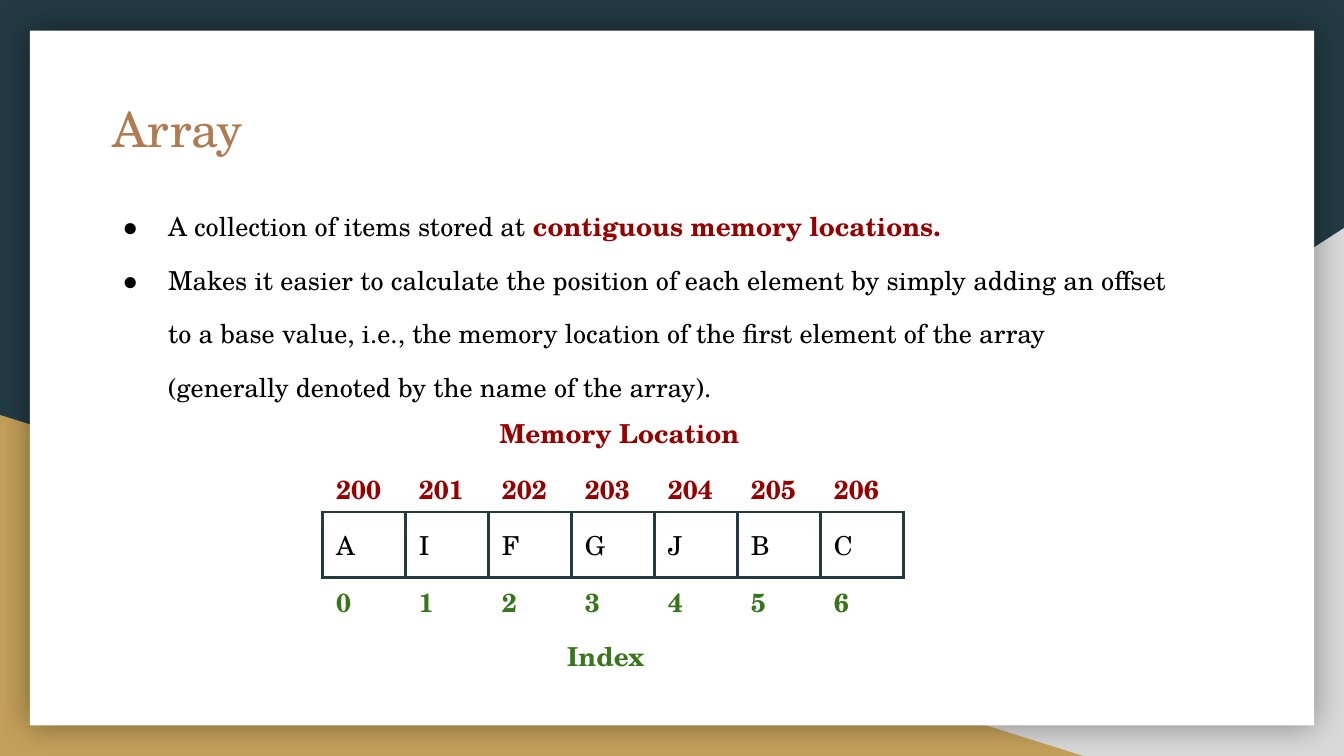
from pptx import Presentation, oxml, util as u
from pptx.dml.color import RGBColor
from pptx.enum import shapes, text
from pptx.oxml import ns

Pt = u.Pt
HUES = {"navy": "233A44", "gray": "D9D9D9", "gold": "C4A15A", "white": "FFFFFF",
        "brown": "AF7B51", "black": "000000", "red": "980000", "green": "38761D"}
FONT = "TeX Gyre Schola"


def hue(name):
    return RGBColor.from_string(HUES[name])


def node(xml):
    head, tail = xml.split(" ", 1) if " " in xml.split(">")[0] else xml.split(">", 1)
    gap = " " if " " in xml.split(">")[0] else ">"
    return oxml.parse_xml(f"{head} {ns.nsdecls('a')}{gap}{tail}")


def put(par, words, size=14, color="black", bold=False):
    run = par.add_run()
    run.text = words
    font = run.font
    font.name, font.size, font.bold = FONT, Pt(size), bold
    font.color.rgb = hue(color)


class Deck:
    inset = 7.2
    left, cell, row = 172.8, 44.46, 22.32

    def __init__(self):
        self.prs = Presentation()
        self.prs.slide_width, self.prs.slide_height = Pt(720), Pt(405)
        self.slide = self.prs.slides.add_slide(self.prs.slide_layouts[1])
        fill = self.slide.background.fill
        fill.solid()
        fill.fore_color.rgb = hue("navy")

    def block(self, kind, box, color, flip=False, shade=False):
        item = self.slide.shapes.add_shape(kind, *map(Pt, box))
        item.fill.solid()
        item.fill.fore_color.rgb = hue(color)
        item.line.fill.background()
        item.shadow.inherit = False
        props = item._element.spPr
        if flip:
            props.xfrm.set("flipH", "1")
        if shade:
            props.find(ns.qn("a:effectLst")).append(node(
                f'<a:outerShdw blurRad="{Pt(18)}" dist="0" dir="0" algn="bl" rotWithShape="0">'
                f'<a:srgbClr val="{HUES["black"]}"><a:alpha val="40000"/></a:srgbClr>'
                '</a:outerShdw>'))

    def frame(self, item):
        area = item.text_frame
        area.word_wrap = True
        area.auto_size = text.MSO_AUTO_SIZE.NONE
        area.vertical_anchor = text.MSO_ANCHOR.TOP
        area.margin_left = area.margin_right = Pt(self.inset)
        area.margin_top = area.margin_bottom = Pt(self.inset)
        return area

    def holder(self, item, box):
        item.left, item.top, item.width, item.height = map(Pt, box)
        self.slide.shapes._spTree.append(item._element)
        return self.frame(item)

    def title(self, words, box):
        par = self.holder(self.slide.shapes.title, box).paragraphs[0]
        par.alignment = text.PP_ALIGN.LEFT
        put(par, words, size=26, color="brown")

    def bullets(self, items, box):
        area = self.holder(self.slide.placeholders[1], box)
        for spot, runs in enumerate(items):
            par = area.add_paragraph() if spot else area.paragraphs[0]
            props = par._p.get_or_add_pPr()
            props.set("marL", str(Pt(36)))
            props.set("indent", str(Pt(-25.2)))
            props.append(node(f'<a:buClr><a:srgbClr val="{HUES["black"]}"/></a:buClr>'))
            props.append(node(f'<a:buFont typeface="{FONT}"/>'))
            props.append(node('<a:buChar char="●"/>'))
            par.line_spacing = 1.71
            par.space_before = Pt(0)
            for words, style in runs:
                put(par, words, **style)

    def label(self, words, left, top, color):
        item = self.slide.shapes.add_textbox(Pt(left), Pt(top), Pt(231), Pt(11))
        put(self.frame(item).paragraphs[0], words, color=color, bold=True)

    def strip(self, words, top, edge=False, **style):
        count = len(words)
        grid = self.slide.shapes.add_table(
            1, count, Pt(self.left), Pt(top), Pt(self.cell * count), Pt(self.row)).table
        grid.first_row = grid.horz_banding = False
        paint = (f'<a:solidFill><a:srgbClr val="{HUES["navy"]}"/></a:solidFill>'
                 if edge else '<a:noFill/>')
        for cell, word in zip(grid.iter_cells(), words):
            cell.margin_left = cell.margin_right = Pt(self.inset)
            cell.margin_top = cell.margin_bottom = Pt(self.inset)
            props = cell._tc.get_or_add_tcPr()
            for side in "LRTB":
                props.append(node(f'<a:ln{side} w="{Pt(1.5)}">{paint}</a:ln{side}>'))
            cell.fill.background()
            put(cell.text_frame.paragraphs[0], word, **style)


def main():
    deck = Deck()
    kind = shapes.MSO_SHAPE
    deck.block(kind.RIGHT_TRIANGLE, (282, 122.2, 438, 282.8), "gray", flip=True)
    deck.block(kind.RIGHT_TRIANGLE, (0, 222.3, 580.3, 182.7), "gold")
    deck.block(kind.RECTANGLE, (16, 16.4, 688, 372.2), "white", shade=True)

    deck.bullets([
        [("A collection of items stored at ", {}),
         ("contiguous memory locations.", {"color": "red", "bold": True})],
        [("Makes it easier to calculate the position of each element by simply adding "
          "an offset to a base value, i.e., the memory location of the first element of "
          "the array (generally denoted by the name of the array).", {})],
    ], (46.8, 93.6, 589, 113.8))
    deck.title("Array", (53.3, 46.1, 589, 47.5))

    items = "AIFGJBC"
    size = len(items)
    deck.strip(items, 274.3, edge=True)
    deck.label("Memory Location", 260.6, 218.2, "red")
    deck.strip([str(200 + n) for n in range(size)], 244.1, color="red", bold=True)
    deck.strip([str(n) for n in range(size)], 304.6, color="green", bold=True)
    deck.label("Index", 296.6, 337.7, "green")
    deck.prs.save("out.pptx")


if __name__ == "__main__":
    main()
